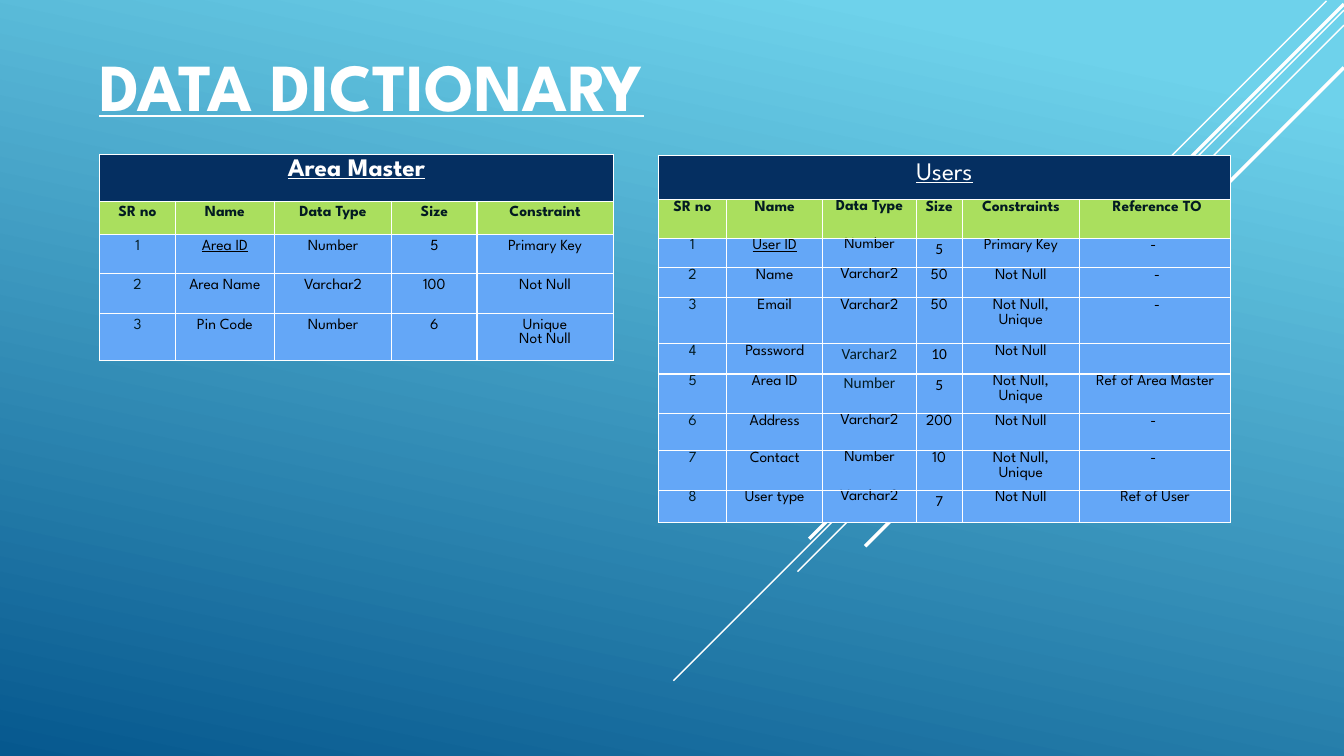
"""Build the data dictionary slide with its two table definitions."""
from dataclasses import dataclass, field

from lxml import etree
from pptx import Presentation
from pptx import util as u
from pptx.dml.color import RGBColor
from pptx.enum import shapes, text
from pptx.oxml.ns import qn

COLORS = {
    "sky": "6ED2EB", "deep": "06588E", "white": "FFFFFF", "navy": "052F61",
    "lime": "AADF5E", "blue": "64A7F7", "ink": "031B22", "black": "000000",
}
FONT = "League Spartan"
ALT_FONT = "Calibri"


@dataclass
class Ray:
    x: float
    y: float
    reach: float
    width: float


@dataclass
class Grid:
    title: str
    title_bold: bool
    left: float
    top: float
    cols: list[float]
    heights: list[float]
    rows: list[list[str]]
    title_inset: tuple[float, float]
    inset: tuple[float, float]
    key: tuple[int, int] = (2, 1)
    spaced: bool = False
    tight: set[tuple[int, int]] = field(default_factory=set)
    alt: set[tuple[int, int]] = field(default_factory=set)


RAYS = [
    Ray(947.5, 0.7, 300, 1),
    Ray(960, 7.2, 479, 1),
    Ray(960, 18, 390.3, 1),
    Ray(960, 2.9, 382, 2.5),
    Ray(960, 48.2, 342, 2.5),
]

AREA = Grid(
    "Area Master", True, 71.3, 110.2,
    [54, 70.7, 83.8, 61, 97.2], [33.5, 23.7, 28.2, 28.2, 33],
    [
        ["SR no", "Name", "Data Type", "Size", "Constraint"],
        ["1", "Area ID", "Number", "5", "Primary Key"],
        ["2", "Area Name", "Varchar2", "100", "Not Null"],
        ["3", "Pin Code", "Number", "6", "Unique\nNot Null"],
    ],
    (6.6, 3.6), (6.6, 3.6),
)

USERS = Grid(
    "Users", False, 470.2, 110.9,
    [49, 68.4, 67, 32.7, 84, 107.8],
    [25.5, 27.5, 21, 21.5, 33, 21.5, 21.5, 26.5, 21.5, 23],
    [
        ["SR no", "Name", "Data Type", "Size", "Constraints", " Reference TO"],
        ["1", "User ID", "Number", "5", "Primary Key", "- "],
        ["2", "Name", "Varchar2", "50", "Not Null", " -"],
        ["3", "Email", "Varchar2", "50", "Not Null, Unique", " -"],
        ["4", "Password", "Varchar2", "10", "Not Null", ""],
        ["5", "Area ID", "Number", "5", "Not Null, Unique", "Ref of Area Master"],
        ["6", "Address", "Varchar2", "200", "Not Null", "- "],
        ["7", "Contact", "Number", "10", "Not Null, Unique", "- "],
        ["8", "User type", "Varchar2", "7", "Not Null", "Ref of User"],
    ],
    (5, 4.3), (5, 0), spaced=True,
    tight={(r, 2) for r in (1, 2, 3, 6, 7, 8, 9)},
    alt={(2, 3), (5, 2), (5, 3), (6, 2), (6, 3), (9, 3)},
)


def rgb(name: str) -> RGBColor:
    return RGBColor.from_string(COLORS[name])


def style_text(tf, size: float, color: str, bold: bool, underline: bool,
               font: str = FONT) -> None:
    for p in tf.paragraphs:
        p.alignment = text.PP_ALIGN.CENTER
        for r in p.runs:
            r.font.name, r.font.size = font, u.Pt(size)
            r.font.bold, r.font.underline = bold, underline
            r.font.color.rgb = rgb(color)


def draw_ray(s, ray: Ray) -> None:
    ln = s.shapes.add_connector(
        shapes.MSO_CONNECTOR.STRAIGHT, u.Pt(ray.x), u.Pt(ray.y),
        u.Pt(ray.x - ray.reach), u.Pt(ray.y + ray.reach))
    ln.line.color.rgb = rgb("white")
    ln.line.width = u.Pt(ray.width)
    etree.SubElement(ln._element.spPr, qn("a:effectLst"))


def style_cell(cell, fill: str, inset: tuple[float, float]) -> None:
    cell.margin_left = cell.margin_right = u.Pt(inset[0])
    cell.margin_top = cell.margin_bottom = u.Pt(inset[1])
    tcPr = cell._tc.get_or_add_tcPr()
    for side in ("lnL", "lnR", "lnT", "lnB"):
        ln = etree.SubElement(tcPr, qn(f"a:{side}"), w=str(u.Pt(1)))
        solid = etree.SubElement(ln, qn("a:solidFill"))
        etree.SubElement(solid, qn("a:srgbClr"), val=COLORS["white"])
    cell.fill.solid()
    cell.fill.fore_color.rgb = rgb(fill)


def space_out(tf) -> None:
    for p in tf.paragraphs:
        p.line_spacing = 1.07
        p.space_after = u.Pt(8)


def draw_grid(s, grid: Grid) -> None:
    tbl = s.shapes.add_table(
        len(grid.heights), len(grid.cols), u.Pt(grid.left), u.Pt(grid.top),
        u.Pt(sum(grid.cols)), u.Pt(sum(grid.heights))).table
    tbl.first_row = tbl.horz_banding = False
    for col, width in zip(tbl.columns, grid.cols):
        col.width = u.Pt(width)
    for row, height in zip(tbl.rows, grid.heights):
        row.height = u.Pt(height)
    for i in range(len(grid.cols)):
        style_cell(tbl.cell(0, i), "navy", grid.title_inset)
    head = tbl.cell(0, 0)
    head.merge(tbl.cell(0, len(grid.cols) - 1))
    head.text_frame.text = grid.title
    style_text(head.text_frame, 18, "white", grid.title_bold, True)
    if grid.spaced:
        space_out(head.text_frame)
    for i, row in enumerate(grid.rows, 1):
        for j, value in enumerate(row):
            cell, at, header = tbl.cell(i, j), (i, j), i == 1
            style_cell(cell, "lime" if header else "blue", grid.inset)
            tf = cell.text_frame
            tf.text = value
            dark = header or j == 0 or (j == 2 and at in grid.alt)
            style_text(tf, 11, "ink" if dark else "black", header, at == grid.key,
                       ALT_FONT if at in grid.alt else FONT)
            if grid.spaced and at not in grid.tight:
                space_out(tf)


def draw_title(s) -> None:
    sp = s.shapes.add_textbox(u.Pt(-40.3), u.Pt(2.2), u.Pt(611.3), u.Pt(90.7))
    tf = sp.text_frame
    tf.word_wrap = True
    tf.vertical_anchor = text.MSO_ANCHOR.BOTTOM
    tf.text = "DATA DICTIONARY"
    style_text(tf, 48, "white", True, True)


def draw_background(s) -> None:
    fill = s.background.fill
    fill.gradient()
    fill.gradient_angle = 258
    for stop, (pos, name) in zip(fill.gradient_stops, [(0.1, "sky"), (1, "deep")]):
        stop.position = pos
        stop.color.rgb = rgb(name)


def main() -> None:
    prs = Presentation()
    prs.slide_width, prs.slide_height = u.Pt(960), u.Pt(540)
    s = prs.slides.add_slide(prs.slide_layouts[6])
    draw_background(s)
    for ray in RAYS:
        draw_ray(s, ray)
    draw_title(s)
    for grid in (AREA, USERS):
        draw_grid(s, grid)
    prs.save("out.pptx")


if __name__ == "__main__":
    main()
